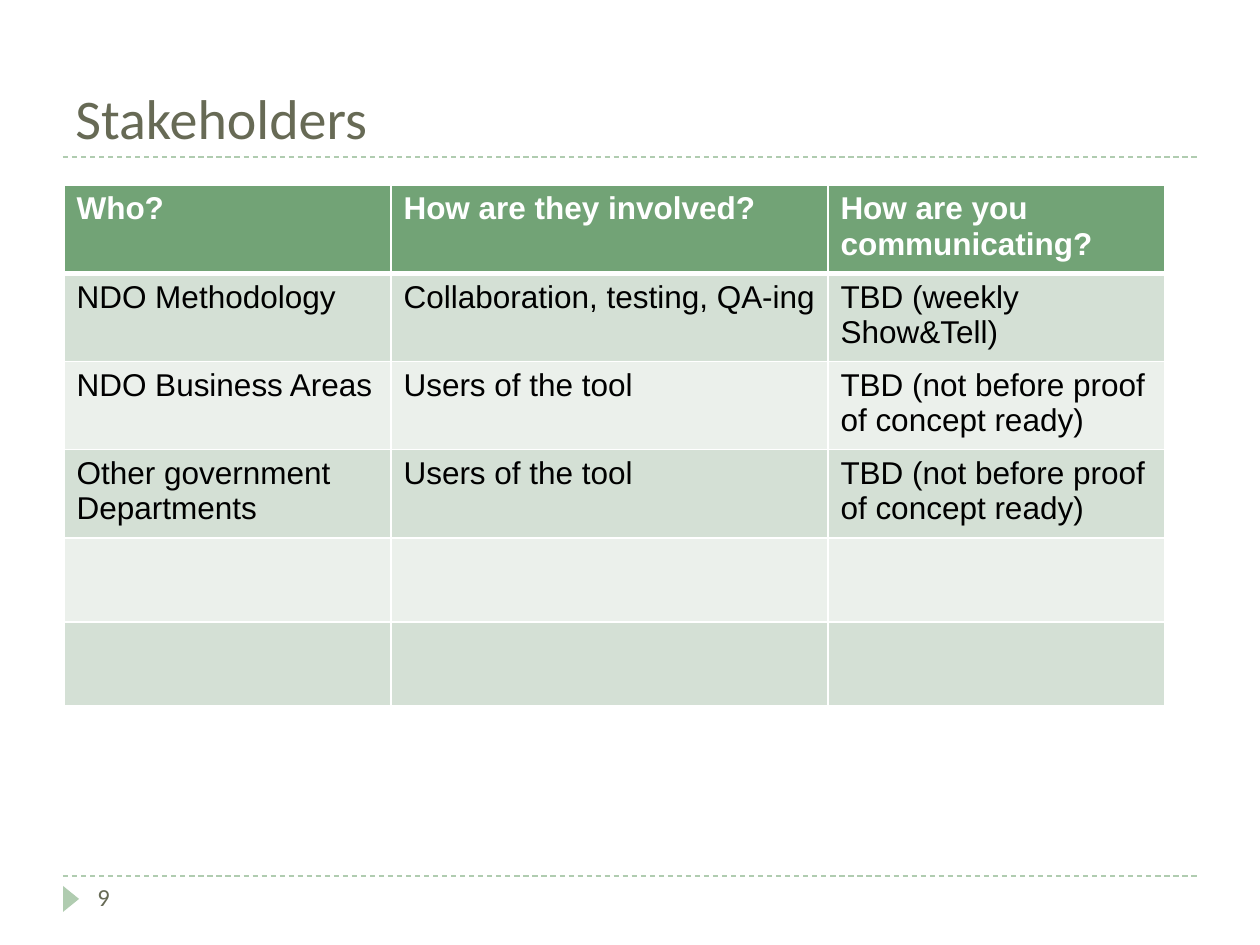
from pptx import Presentation
from pptx.dml.color import RGBColor
from pptx.enum.dml import MSO_LINE_DASH_STYLE as DASH
from pptx.enum.shapes import MSO_CONNECTOR, MSO_SHAPE
from pptx.enum.text import MSO_ANCHOR as ANCHOR
from pptx.oxml.ns import qn
from pptx.util import Emu, Pt
from lxml.etree import SubElement

EMU_PER_PX = 914400 // 126

WHITE = RGBColor(0xFF, 0xFF, 0xFF)
BLACK = RGBColor(0x00, 0x00, 0x00)
OLIVE = RGBColor(0x67, 0x6A, 0x55)
PALE_GREEN = RGBColor(0xB0, 0xCC, 0xB0)
HEADER_GREEN = RGBColor(0x72, 0xA3, 0x76)
BANDS = (RGBColor(0xEB, 0xF0, 0xEB), RGBColor(0xD4, 0xE0, 0xD5))

COLUMN_WIDTHS = (327, 437, 337)
ROW_HEIGHT = 84
STAKEHOLDERS = (
    ("Who?", "How are they involved?", "How are you communicating?"),
    ("NDO Methodology", "Collaboration, testing, QA-ing", "TBD (weekly Show&Tell)"),
    ("NDO Business Areas", "Users of the tool",
     "TBD (not before proof of concept ready)"),
    ("Other government Departments", "Users of the tool",
     "TBD (not before proof of concept ready)"),
    ("", "", ""),
    ("", "", ""),
)


def px(*lengths):
    return [Emu(length * EMU_PER_PX) for length in lengths]


def style_text(frame, font_name, size, color, bold=False):
    for paragraph in frame.paragraphs:
        # Formatting also the paragraph end keeps empty cells at this size
        for font in [paragraph.font] + [run.font for run in paragraph.runs]:
            font.name = font_name
            font.size = Pt(size)
            font.bold = bold
            font.color.rgb = color


def add_label(slide, box, text, size, anchor):
    frame = slide.shapes.add_textbox(*px(*box)).text_frame
    frame.word_wrap = True
    frame.vertical_anchor = anchor
    frame.text = text
    style_text(frame, "Calibri", size, OLIVE)


def add_dashed_rule(slide, y):
    rule = slide.shapes.add_connector(MSO_CONNECTOR.STRAIGHT, *px(63, y, 1197, y))
    rule.line.color.rgb = PALE_GREEN
    rule.line.width = Pt(0.75)
    rule.line.dash_style = DASH.DASH
    SubElement(rule._element.spPr, qn("a:effectLst"))


def add_page_marker(slide):
    marker = slide.shapes.add_shape(MSO_SHAPE.ISOSCELES_TRIANGLE, *px(58, 891, 26, 16))
    marker.rotation = 90
    marker.shadow.inherit = False
    marker.fill.solid()
    marker.fill.fore_color.rgb = PALE_GREEN
    marker.line.fill.background()


def add_borders(cell, top, bottom):
    properties = cell._tc.get_or_add_tcPr()
    for side, width in (("L", 1), ("R", 1), ("T", top), ("B", bottom)):
        border = SubElement(properties, qn(f"a:ln{side}"), w=str(Pt(width)))
        fill = SubElement(border, qn("a:solidFill"))
        SubElement(fill, qn("a:srgbClr"), val=str(WHITE))


def add_stakeholder_table(slide):
    row_count = len(STAKEHOLDERS)
    table = slide.shapes.add_table(
        row_count, len(COLUMN_WIDTHS),
        *px(64, 185, sum(COLUMN_WIDTHS), row_count * ROW_HEIGHT)).table
    for column, width in zip(table.columns, COLUMN_WIDTHS):
        column.width, = px(width)
    for r, texts in enumerate(STAKEHOLDERS):
        header = r == 0
        table.rows[r].height, = px(ROW_HEIGHT)
        for c, text in enumerate(texts):
            cell = table.cell(r, c)
            cell.text_frame.text = text
            style_text(cell.text_frame, "Arial", 18,
                       WHITE if header else BLACK, header)
            # A thick line parts the header from the body
            add_borders(cell, 3 if r == 1 else 1, 3 if header else 1)
            cell.fill.solid()
            cell.fill.fore_color.rgb = HEADER_GREEN if header else BANDS[r % 2]


def main():
    deck = Presentation()
    deck.slide_width, deck.slide_height = px(1260, 945)
    slide = deck.slides.add_slide(deck.slide_layouts[6])

    # Frame of the page
    for y in (876, 157):
        add_dashed_rule(slide, y)
    add_page_marker(slide)

    # Content
    add_label(slide, (63, 21, 1134, 136), "Stakeholders", 32, ANCHOR.BOTTOM)
    add_stakeholder_table(slide)
    add_label(slide, (85, 876, 273, 50), "9", 14, ANCHOR.TOP)

    deck.save("out.pptx")


if __name__ == "__main__":
    main()
